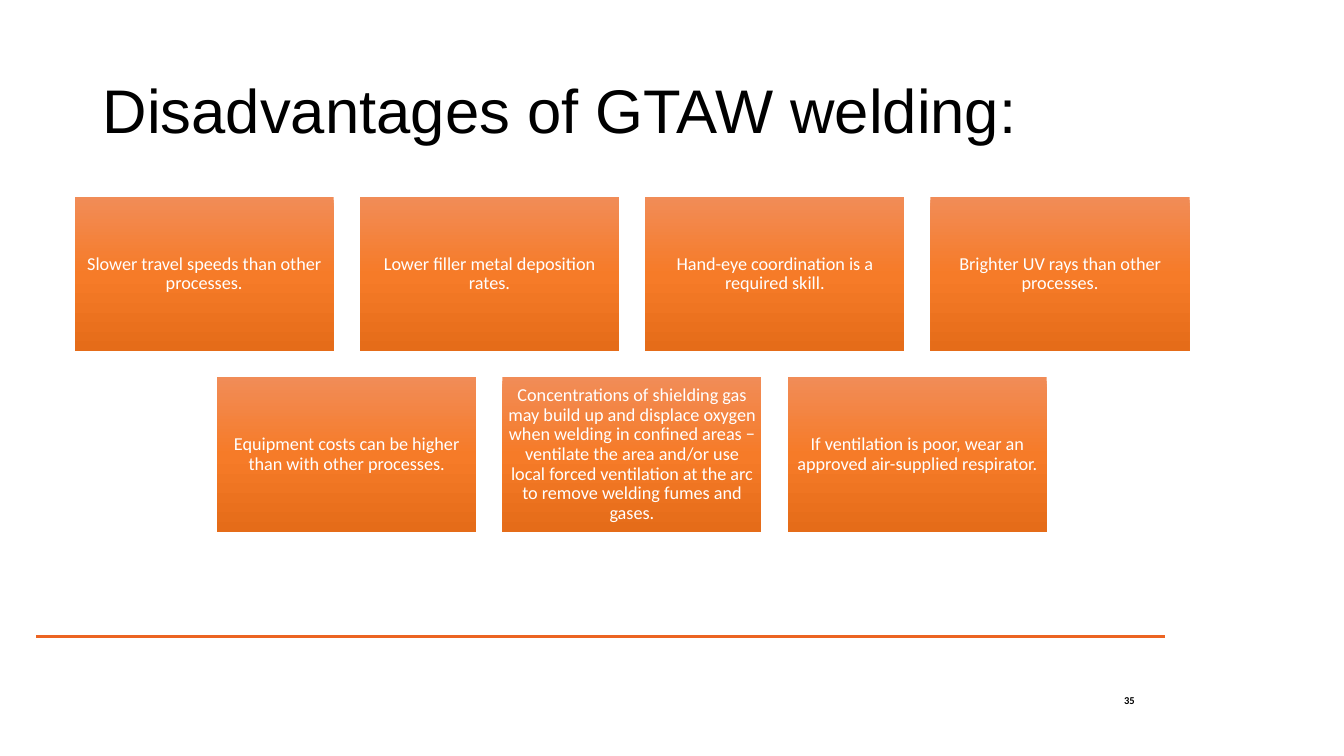
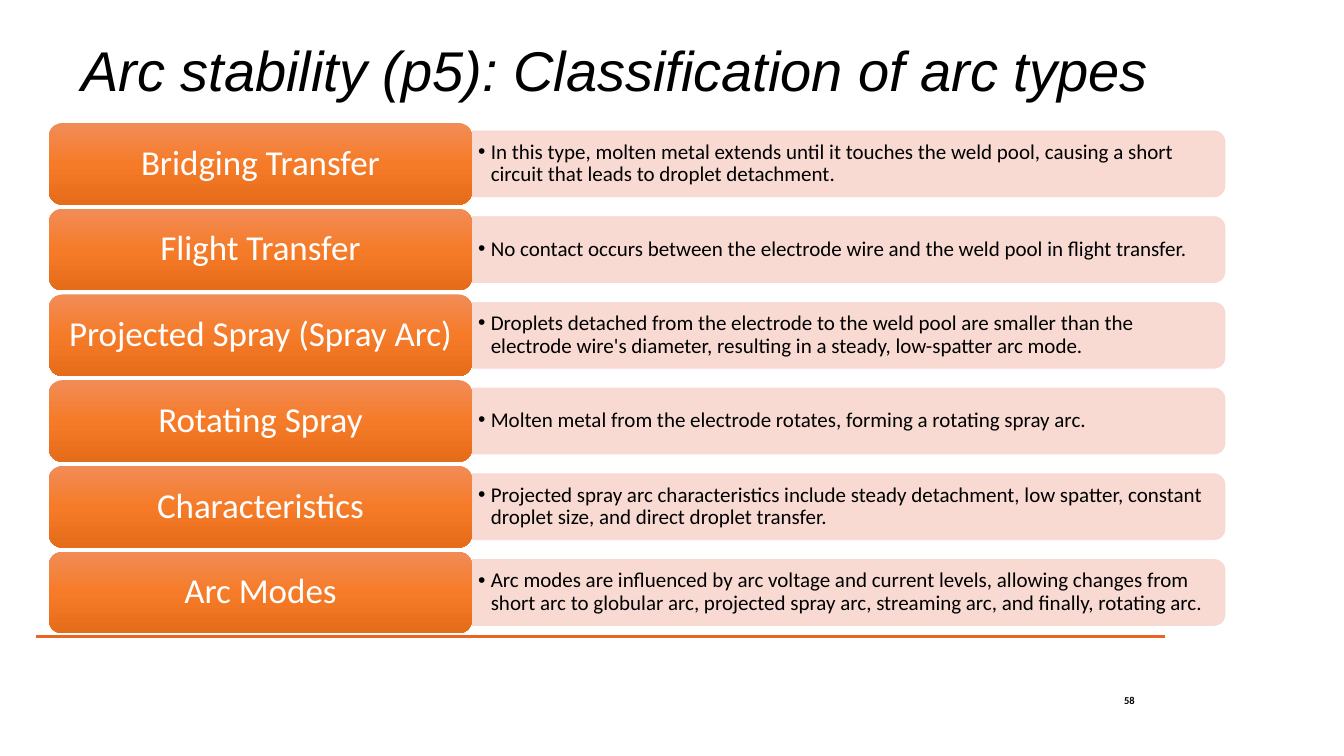
"""Build two welding slides: a card grid and a list of arc types."""
from copy import deepcopy

from lxml.etree import SubElement
from pptx import Presentation
from pptx.dml.color import RGBColor
from pptx.enum.shapes import MSO_CONNECTOR, MSO_SHAPE
from pptx.enum.text import MSO_ANCHOR, MSO_AUTO_SIZE, PP_ALIGN
from pptx.oxml.ns import qn
from pptx.util import Cm, Pt

BLACK = "000000"
WHITE = "FFFFFF"
RULE = "EC6422"
PALE = "F8D7CE"
GRADIENT = [(0, "F18C57"), (0.5, "F67B28"), (1, "E56C19")]


def write_text(shape, text, size, color, alignment, margins,
               font="Calibri", bold=False, italic=False, line_spacing=0.9):
    """Set and format the single paragraph of a shape."""
    frame = shape.text_frame
    frame.text = text
    frame.word_wrap = True
    frame.auto_size = MSO_AUTO_SIZE.NONE
    frame.vertical_anchor = MSO_ANCHOR.MIDDLE
    frame.margin_left = frame.margin_right = Cm(margins[0])
    frame.margin_top = frame.margin_bottom = Cm(margins[1])
    paragraph = frame.paragraphs[0]
    paragraph.alignment = alignment
    paragraph.line_spacing = line_spacing
    for run in paragraph.runs:
        run.font.name = font
        run.font.size = Pt(size)
        run.font.bold = bold
        run.font.italic = italic
        run.font.color.rgb = RGBColor.from_string(color)
    return paragraph


def add_block(slide, kind, left, top, width, height, text, size, margins):
    """Add an orange gradient block with centred white text."""
    block = slide.shapes.add_shape(kind, Cm(left), Cm(top), Cm(width), Cm(height))
    block.shadow.inherit = False
    block.line.fill.background()
    block.fill.gradient()
    block.fill.gradient_angle = 270
    stop_list = block._element.spPr.find(".//" + qn("a:gsLst"))
    stop_list.insert(1, deepcopy(stop_list[0]))
    for stop, (position, color) in zip(block.fill.gradient_stops, GRADIENT):
        stop.position = position
        stop.color.rgb = RGBColor.from_string(color)
    write_text(block, text, size, WHITE, PP_ALIGN.CENTER, margins)


presentation = Presentation()
presentation.slide_width = Cm(33.87)
presentation.slide_height = Cm(19.05)

headings = [
    ("Disadvantages of GTAW welding:", 2.34, 1.02, 29.2, 44, False, "35"),
    ("Arc stability (p5): Classification of arc types", 1.8, 0, 32, 40, True, "58"),
]
for title_text, left, top, width, size, italic, number in headings:
    slide = presentation.slides.add_slide(presentation.slide_layouts[5])
    title = slide.shapes.title
    title.left, title.top = Cm(left), Cm(top)
    title.width, title.height = Cm(width), Cm(3.68)
    write_text(title, title_text, size, BLACK, PP_ALIGN.LEFT, (0.25, 0.13),
               font="Arial", italic=italic)

    rule = slide.shapes.add_connector(
        MSO_CONNECTOR.STRAIGHT, Cm(0.91), Cm(16.03), Cm(29.36), Cm(16.03))
    rule.line.color.rgb = RGBColor.from_string(RULE)
    rule.line.width = Pt(2.25)
    SubElement(rule._element.spPr, qn("a:effectLst"))

    page_number = slide.shapes.add_textbox(Cm(27.23), Cm(17.35), Cm(1.37), Cm(0.61))
    write_text(page_number, number, 7.5, BLACK, PP_ALIGN.RIGHT, (0, 0),
               bold=True, line_spacing=1.0)

disadvantages_slide, arc_slide = presentation.slides

card_width, card_height, card_gap = 6.53, 3.89, 0.66
card_rows = [
    (1.88, [
        "Slower travel speeds than other processes.",
        "Lower filler metal deposition rates.",
        "Hand-eye coordination is a required skill.",
        "Brighter UV rays than other processes.",
    ]),
    (5.47, [
        "Equipment costs can be higher than with other processes.",
        "Concentrations of shielding gas may build up and displace oxygen when "
        "welding in confined areas − ventilate the area and/or use local forced "
        "ventilation at the arc to remove welding fumes and gases.",
        "If ventilation is poor, wear an approved air-supplied respirator.",
    ]),
]
for row, (row_left, cards) in enumerate(card_rows):
    for column, card_text in enumerate(cards):
        add_block(disadvantages_slide, MSO_SHAPE.RECTANGLE,
                  row_left + column * (card_width + card_gap),
                  4.96 + row * (card_height + card_gap),
                  card_width, card_height, card_text, 13, (0.13, 0.13))

arc_types = [
    ("Bridging Transfer",
     "In this type, molten metal extends until it touches the weld pool, causing "
     "a short circuit that leads to droplet detachment."),
    ("Flight Transfer",
     "No contact occurs between the electrode wire and the weld pool in flight "
     "transfer."),
    ("Projected Spray (Spray Arc)",
     "Droplets detached from the electrode to the weld pool are smaller than the "
     "electrode wire's diameter, resulting in a steady, low-spatter arc mode."),
    ("Rotating Spray",
     "Molten metal from the electrode rotates, forming a rotating spray arc."),
    ("Characteristics",
     "Projected spray arc characteristics include steady detachment, low spatter, "
     "constant droplet size, and direct droplet transfer."),
    ("Arc Modes",
     "Arc modes are influenced by arc voltage and current levels, allowing changes "
     "from short arc to globular arc, projected spray arc, streaming arc, and "
     "finally, rotating arc."),
]
label_left, label_width, label_height = 1.23, 10.67, 2.06
bar_left, bar_length, bar_height = 11.9, 18.97, 1.66
for row, (label, description) in enumerate(arc_types):
    label_top = 3.1 + row * 2.16
    middle = label_top + label_height / 2

    bar = arc_slide.shapes.add_shape(
        MSO_SHAPE.ROUND_2_SAME_RECTANGLE,
        Cm(bar_left + (bar_length - bar_height) / 2), Cm(middle - bar_length / 2),
        Cm(bar_height), Cm(bar_length))
    bar.rotation = 90
    bar.shadow.inherit = False
    bar.fill.solid()
    bar.fill.fore_color.rgb = RGBColor.from_string(PALE)
    bar.line.color.rgb = RGBColor.from_string(PALE)
    bar.line.width = Pt(0.5)
    for color_element in bar._element.spPr.iter(qn("a:srgbClr")):
        SubElement(color_element, qn("a:alpha"), val="90000")

    detail = arc_slide.shapes.add_textbox(
        Cm(bar_left), Cm(middle - 0.75), Cm(18.9), Cm(1.5))
    paragraph = write_text(detail, description, 15, BLACK, PP_ALIGN.LEFT, (0.15, 0.08))
    properties = paragraph._p.get_or_add_pPr()
    properties.set("marL", str(Cm(0.32)))
    properties.set("indent", str(-Cm(0.32)))
    SubElement(properties, qn("a:buFont"), typeface="Arial")
    SubElement(properties, qn("a:buChar"), char="•")

    add_block(arc_slide, MSO_SHAPE.ROUNDED_RECTANGLE, label_left, label_top,
              label_width, label_height, label, 25, (0.25, 0.13))

presentation.save("out.pptx")
